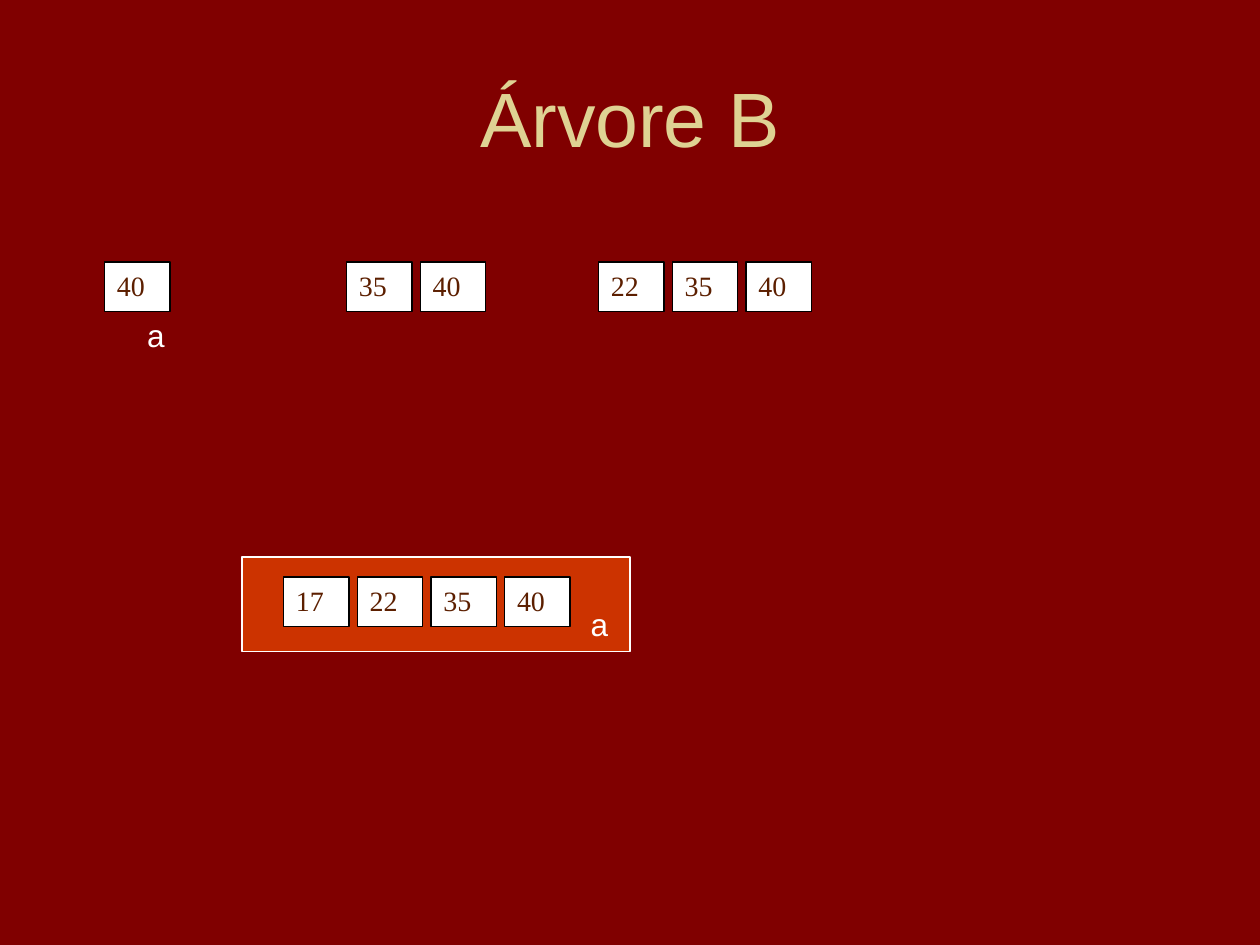
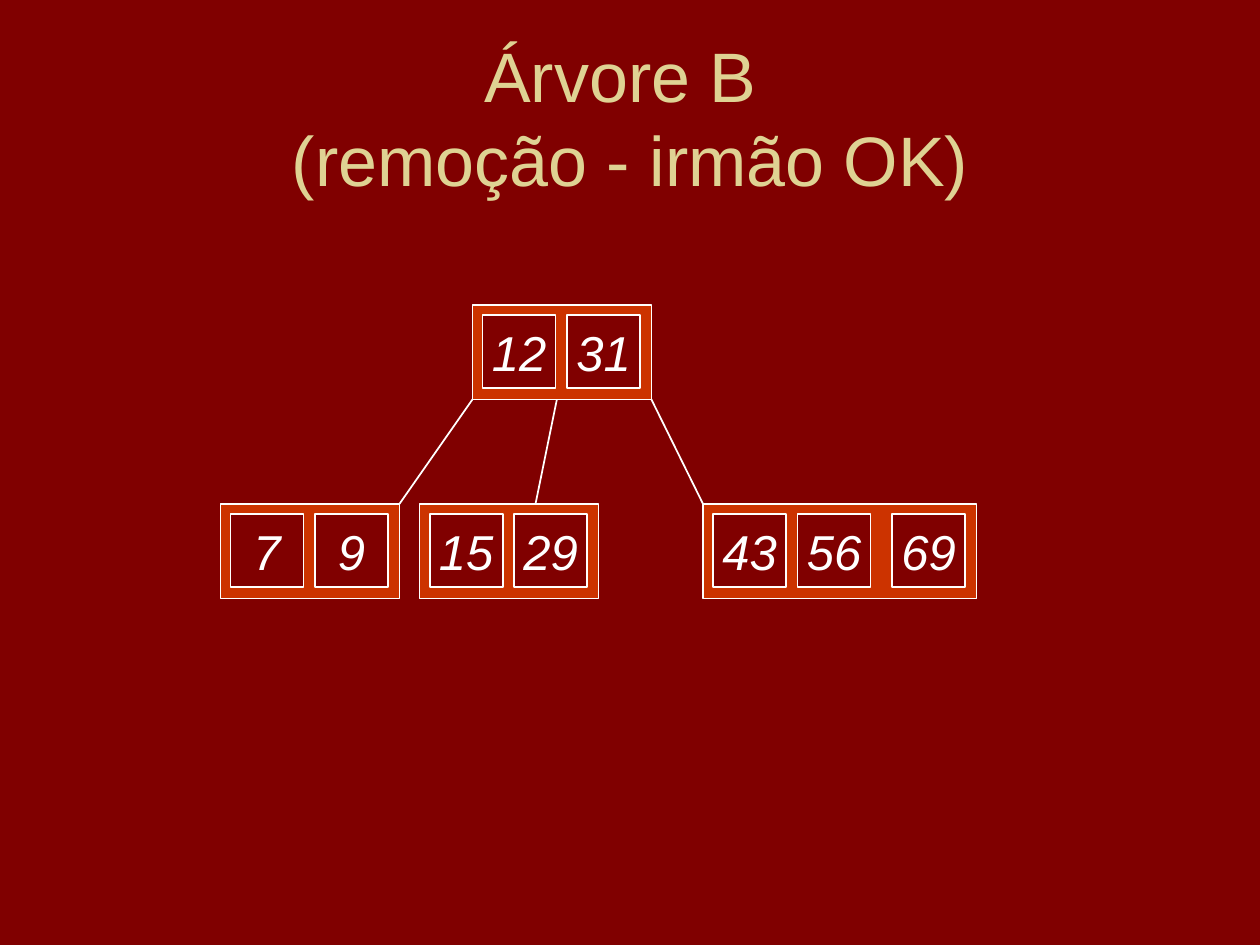
from lxml.etree import SubElement
from pptx import Presentation
from pptx.dml.color import RGBColor
from pptx.enum.shapes import MSO_CONNECTOR, MSO_SHAPE
from pptx.enum.text import MSO_ANCHOR, MSO_AUTO_SIZE, PP_ALIGN
from pptx.oxml.ns import qn
from pptx.util import Inches, Pt

COLORS = {
    "background": "800000",
    "title": "DFD293",
    "node": "CC3300",
    "key_text": "5C1F00",
    "white": "FFFFFF",
    "black": "000000",
}
KEY_W, KEY_H, KEY_STEP = 0.52, 0.39, 0.585
NODE_H, CELL, CELL_OFFSETS = 0.75, 0.58, (0.08, 0.75, 1.5)


def color(name):
    return RGBColor.from_string(COLORS[name])


def write(tf, text, size, fill="white", font="Arial", italic=False,
          align=PP_ALIGN.LEFT, anchor=MSO_ANCHOR.TOP, wrap=True):
    tf.word_wrap = wrap
    tf.auto_size = MSO_AUTO_SIZE.NONE
    tf.vertical_anchor = anchor
    p = tf.paragraphs[0]
    p.alignment = align
    p.text = text
    for r in p.runs:
        r.font.name = font
        r.font.size = Pt(size)
        r.font.italic = italic
        r.font.color.rgb = color(fill)


def add_rect(s, x, y, w, h, fill, line="white", weight=1):
    sp = s.shapes.add_shape(MSO_SHAPE.RECTANGLE, Inches(x), Inches(y), Inches(w), Inches(h))
    sp.shadow.inherit = False
    sp.fill.solid()
    sp.fill.fore_color.rgb = color(fill)
    sp.line.color.rgb = color(line)
    sp.line.width = Pt(weight)
    return sp


def add_edge(s, x1, y1, x2, y2):
    edge = s.shapes.add_connector(
        MSO_CONNECTOR.STRAIGHT, Inches(x1), Inches(y1), Inches(x2), Inches(y2))
    edge.line.color.rgb = color("white")
    edge.line.width = Pt(1)
    SubElement(edge._element.spPr, qn("a:effectLst"))


def add_keys(s, x, y, keys):
    for i, key in enumerate(keys):
        sp = add_rect(s, x + i * KEY_STEP, y, KEY_W, KEY_H, "white", "black", 0.75)
        write(sp.text_frame, key, 16, "key_text", "Times New Roman")


def add_label(s, x, y, text):
    sp = s.shapes.add_textbox(Inches(x), Inches(y), Inches(0.34), Inches(0.4))
    write(sp.text_frame, text, 18, wrap=False)


def add_node(s, x, y, w, keys):
    add_rect(s, x, y, w, NODE_H, "node")
    for dx, key in zip(CELL_OFFSETS, keys):
        sp = add_rect(s, x + dx, y + 0.08, CELL, CELL, "background")
        write(sp.text_frame, key, 28, italic=True, align=PP_ALIGN.CENTER,
              anchor=MSO_ANCHOR.MIDDLE, wrap=False)


def add_slide(prs, title, size):
    s = prs.slides.add_slide(prs.slide_layouts[5])
    sp = s.shapes.title
    sp.left, sp.top, sp.width, sp.height = (Inches(v) for v in (0.5, 0.3, 9, 1.25))
    write(sp.text_frame, title, size, "title", align=PP_ALIGN.CENTER,
          anchor=MSO_ANCHOR.MIDDLE)
    return s


def insertion_slide(prs):
    s = add_slide(prs, "Árvore B", 44)
    for x, keys in ((0.83, ["40"]), (2.75, ["35", "40"]), (4.75, ["22", "35", "40"])):
        add_keys(s, x, 2.08, keys)
    add_label(s, 1.07, 2.46, "a")
    add_rect(s, 1.92, 4.42, 3.08, 0.75, "node", weight=0.75)
    add_keys(s, 2.25, 4.58, ["17", "22", "35", "40"])
    add_label(s, 4.59, 4.75, "a")


def removal_slide(prs):
    s = add_slide(prs, "Árvore B \v(remoção - irmão OK)", 40)
    root_y, leaf_y = 2.42, 4
    add_node(s, 3.75, root_y, 1.42, ["12", "31"])
    add_node(s, 1.75, leaf_y, 1.42, ["7", "9"])
    add_node(s, 3.33, leaf_y, 1.42, ["15", "29"])
    add_node(s, 5.58, leaf_y, 2.17, ["43", "56", "69"])
    for parent_x, child_x in ((3.75, 3.17), (4.42, 4.25), (5.17, 5.58)):
        add_edge(s, parent_x, root_y + NODE_H, child_x, leaf_y)


def main():
    prs = Presentation()
    prs.slide_width, prs.slide_height = Inches(10), Inches(7.5)
    background = prs.slide_master.background.fill
    background.solid()
    background.fore_color.rgb = color("background")
    insertion_slide(prs)
    removal_slide(prs)
    prs.save("out.pptx")


if __name__ == "__main__":
    main()
